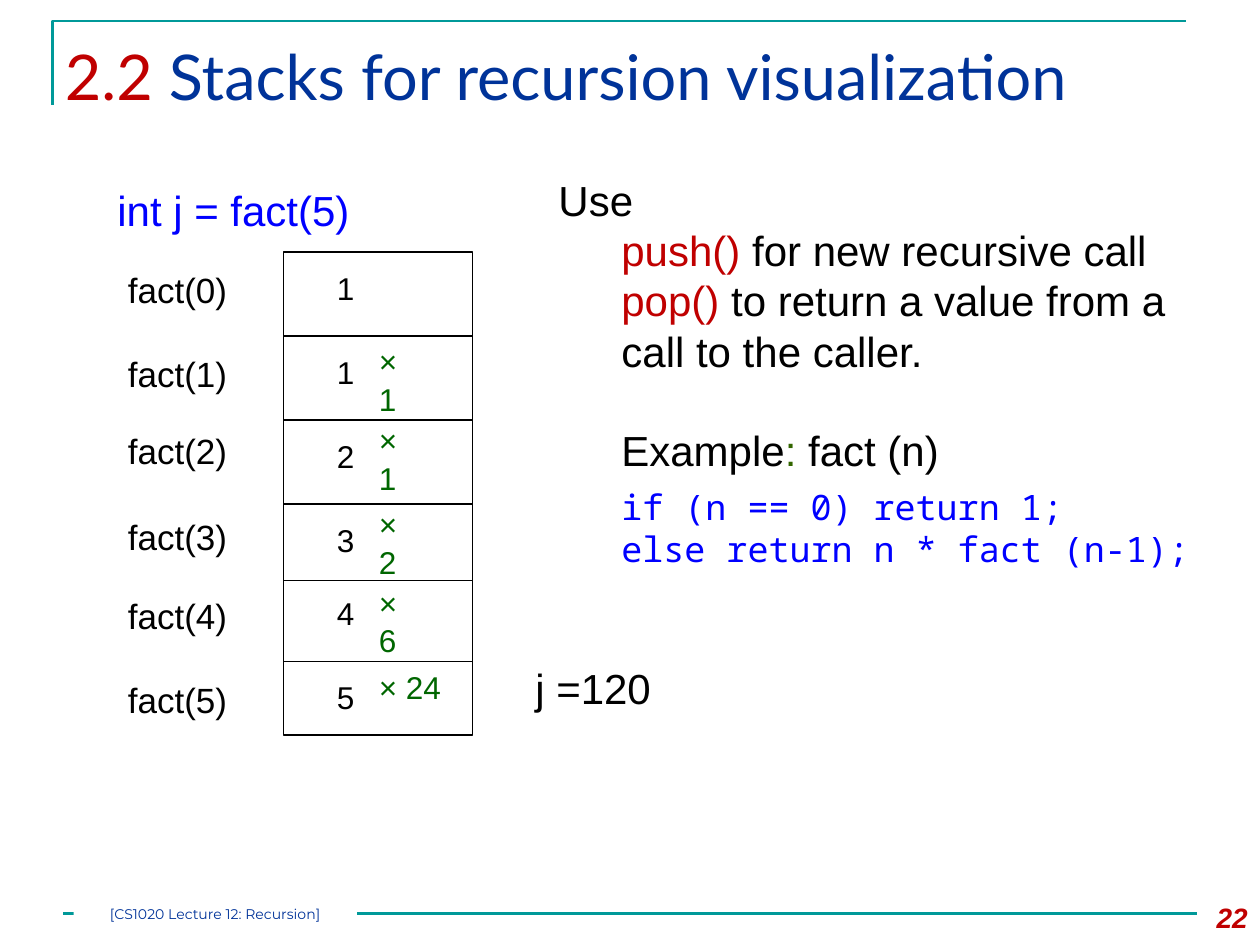
from lxml.etree import SubElement
from pptx import Presentation
from pptx.dml.color import RGBColor
from pptx.enum.shapes import MSO_CONNECTOR, MSO_SHAPE
from pptx.enum.text import MSO_ANCHOR, PP_ALIGN
from pptx.oxml.ns import qn
from pptx.util import Inches, Pt

BLACK = RGBColor(0x00, 0x00, 0x00)
WHITE = RGBColor(0xFF, 0xFF, 0xFF)
RED = RGBColor(0xC0, 0x00, 0x00)
NAVY = RGBColor(0x00, 0x33, 0x99)
BLUE = RGBColor(0x00, 0x00, 0xFF)
GREEN = RGBColor(0x00, 0x66, 0x00)
OLIVE = RGBColor(0x33, 0x66, 0x00)
TEAL = RGBColor(0x00, 0x99, 0x99)

deck = Presentation()
deck.slide_width, deck.slide_height = Inches(10), Inches(7.5)
page = deck.slides.add_slide(deck.slide_layouts[6])

# The page is a grid of 120 columns by 90 rows of square cells.
CELL = deck.slide_width // 120


def write(para, spans, size, name="Arial", **extra):
    """Fill a paragraph with (text, colour) spans that share one format."""
    for text, colour in spans:
        span = para.add_run()
        span.text = text
        span.font.color.rgb = colour
        for key, value in {"size": Pt(size), "name": name, **extra}.items():
            setattr(span.font, key, value)


def add_box(column, row, columns, rows):
    box = page.shapes.add_textbox(*(round(n * CELL) for n in (column, row, columns, rows)))
    box.text_frame.word_wrap = True
    return box.text_frame


# Frame around the title, footer rule and stack cells
bracket = page.shapes.build_freeform(5, 10, scale=CELL)
bracket.add_line_segments([(5, 2), (113, 2)], close=False)
bracket = bracket.convert_to_shape()
bracket.fill.background()
bracket.shadow.inherit = False
bracket.line.color.rgb = TEAL
bracket.line.width = Pt(1.5)

STACK_LEFT, STACK_RIGHT = 27, 45
row_edges = [24, 32, 40, 48, 55.3, 63, 70]
stack = page.shapes.add_shape(
    MSO_SHAPE.RECTANGLE, STACK_LEFT * CELL, row_edges[0] * CELL,
    (STACK_RIGHT - STACK_LEFT) * CELL, (row_edges[-1] - row_edges[0]) * CELL)
stack.fill.background()
stack.shadow.inherit = False
stack.line.color.rgb = BLACK
stack.line.width = Pt(0.75)

rules = [(6, 114, 87, TEAL, 1.5)]
rules += [(STACK_LEFT, STACK_RIGHT, edge, BLACK, 0.75) for edge in row_edges[1:-1]]
for left, right, row, colour, width in rules:
    y = round(row * CELL)
    rule = page.shapes.add_connector(MSO_CONNECTOR.STRAIGHT, left * CELL, y, right * CELL, y)
    rule.line.color.rgb = colour
    rule.line.width = Pt(width)
    SubElement(rule._element.spPr, qn("a:effectLst"))

# Title and page number
title = add_box(5, 3, 112, 10.3)
write(title.paragraphs[0], [("2.2 ", RED), ("Stacks for recursion visualization", NAVY)], 36, "Lato")
number = add_box(112, 85.2, 8, 4.8).paragraphs[0]
number.alignment = PP_ALIGN.RIGHT
write(number, [("22", RED)], 16, bold=True, italic=True)

# Footer label, covering part of the rule
footer = page.shapes.add_shape(MSO_SHAPE.RECTANGLE, 7 * CELL, 86 * CELL, 27 * CELL, 2 * CELL)
footer.shadow.inherit = False
footer.fill.solid()
footer.fill.fore_color.rgb = WHITE
footer.line.fill.background()
for key, value in {"margin_left": 0, "margin_right": 0, "margin_top": 0, "margin_bottom": 0,
                   "vertical_anchor": MSO_ANCHOR.MIDDLE}.items():
    setattr(footer.text_frame, key, value)
footer.text_frame.paragraphs[0].alignment = PP_ALIGN.CENTER
write(footer.text_frame.paragraphs[0], [("[CS1020 Lecture 12: Recursion]", NAVY)], 8, "Montserrat")

# Stack rows: label row, value row, value, factor row, factor
frames = [
    (25, 25, "1", None, None),
    (33, 33, "1", 32, "× 1"),
    (40.3, 41, "2", 39.5, "× 1"),
    (48.5, 49, "3", 47.5, "× 2"),
    (56, 56, "4", 55, "× 6"),
    (64, 64, "5", 63, "× 24"),
]
for n, (label_row, value_row, value, factor_row, factor) in enumerate(frames):
    write(add_box(11, label_row, 17, 5.3).paragraphs[0], [(f"fact({n})", BLACK)], 20)
    write(add_box(30.9, value_row, 4.7, 6).paragraphs[0], [(value, BLACK)], 18)
    if factor:
        columns = 6.6 if len(factor) == 3 else 8.7
        write(add_box(34.9, factor_row, columns, 4.8).paragraphs[0], [(factor, GREEN)], 18)

write(add_box(10, 17, 36, 6).paragraphs[0], [("int j = fact(5)", BLUE)], 24)
write(add_box(49.8, 62.5, 13.6, 6).paragraphs[0], [("j =120", BLACK)], 24)

# Explanation: spans, indent in columns, space before, space after, size, font
lines = [
    ([("Use", BLACK)], 0, 0, 0, 24, "Arial"),
    ([("push() ", RED), ("for new recursive call", BLACK)], 6, 0, 0, 24, "Arial"),
    ([("pop() ", RED), ("to return a value from a call to the caller.", BLACK)],
     6, 0, 0, 24, "Arial"),
    ([("Example", BLACK), (": ", OLIVE), ("fact (n)", BLACK)], 6, 28, 6, 24, "Arial"),
    ([("if (n == 0) return 1;", BLUE)], 6, 0, 0, 20, "Noto Sans Mono"),
    ([("else return n * fact (n-1);", BLUE)], 6, 0, 0, 20, "Noto Sans Mono"),
]
usage = add_box(52, 16, 63, 43)
for n, (spans, indent, before, after, size, name) in enumerate(lines):
    para = usage.add_paragraph() if n else usage.paragraphs[0]
    para._p.get_or_add_pPr().set("marL", str(indent * CELL))
    para.space_before, para.space_after = Pt(before), Pt(after)
    write(para, spans, size, name)

deck.save("out.pptx")
